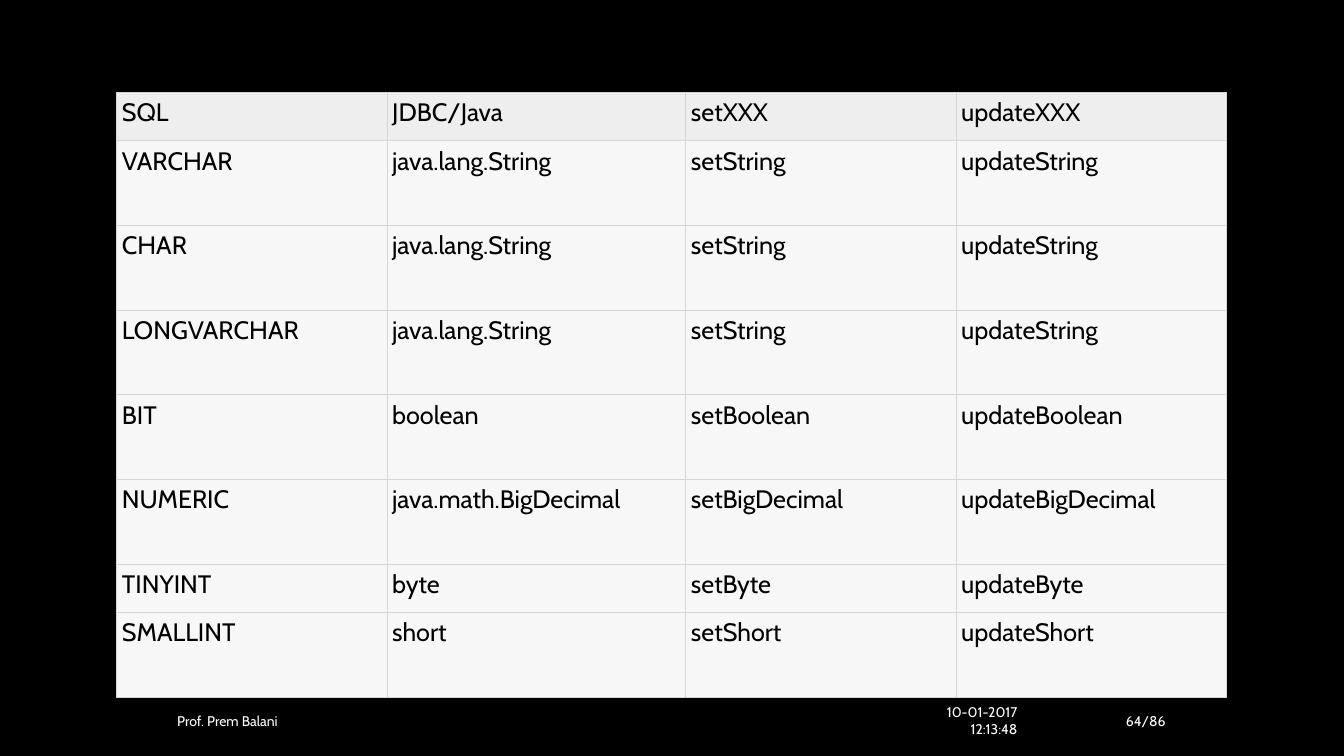
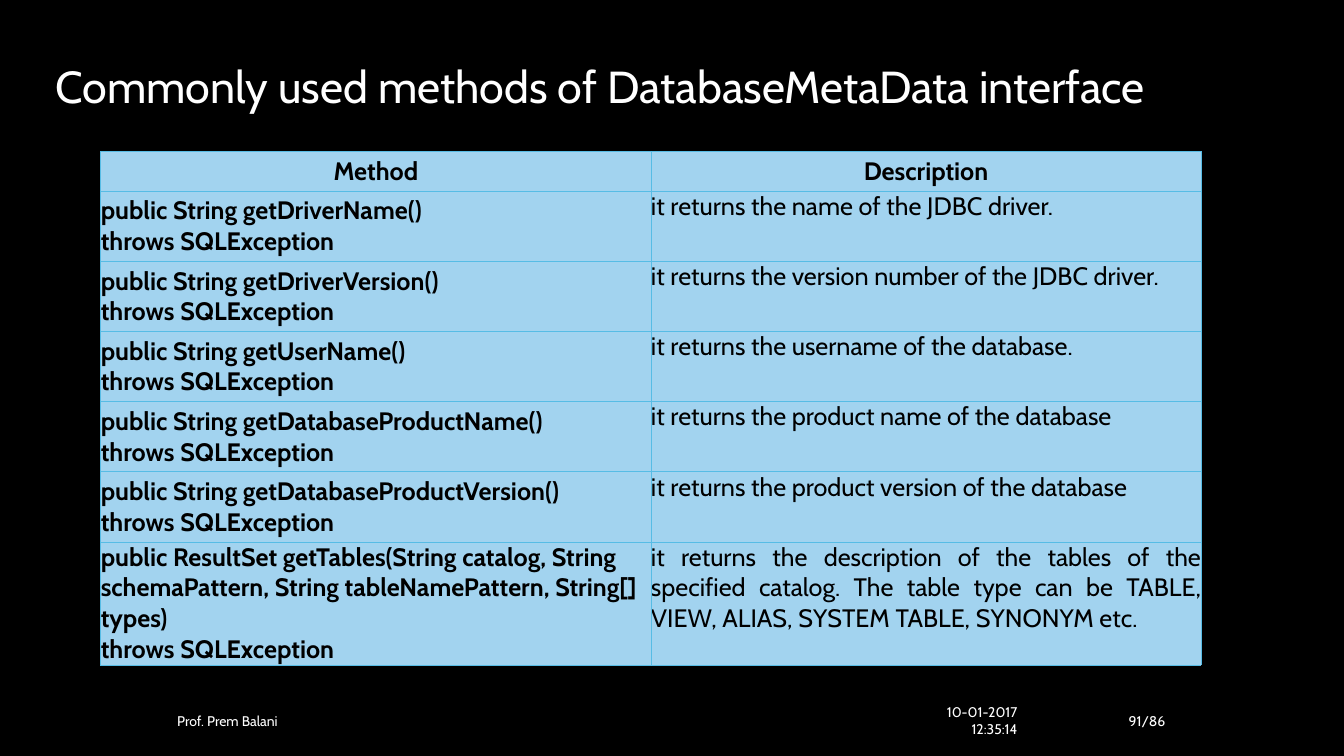
from dataclasses import dataclass

from lxml import etree
from pptx import Presentation
from pptx.dml.color import RGBColor
from pptx.enum.text import MSO_ANCHOR, MSO_AUTO_SIZE, PP_ALIGN
from pptx.oxml.ns import qn
from pptx.slide import Slide
from pptx.table import _Cell
from pptx.util import Pt

LEFT, CENTER, RIGHT, JUSTIFY = PP_ALIGN.LEFT, PP_ALIGN.CENTER, PP_ALIGN.RIGHT, PP_ALIGN.JUSTIFY
TOP, MIDDLE = MSO_ANCHOR.TOP, MSO_ANCHOR.MIDDLE
NO_AUTOFIT = MSO_AUTO_SIZE.NONE

TITLE_ONLY, BLANK = 5, 6
FONT = "Cabin"
BLACK, WHITE = "000000", "FFFFFF"
FOOTER_TOP, FOOTER_HEIGHT = 504, 21.6


@dataclass(frozen=True)
class CellStyle:
    fill: str
    align: PP_ALIGN = LEFT
    anchor: MSO_ANCHOR = TOP
    bold: bool = False


@dataclass(frozen=True)
class TableStyle:
    border: str
    border_width: float
    margin: float
    header: CellStyle
    columns: tuple[CellStyle, ...]


@dataclass(frozen=True)
class FooterBox:
    left: float
    width: float
    align: PP_ALIGN


FOOTER_BOXES = (
    FooterBox(119.5, 498, LEFT),
    FooterBox(635.8, 98, RIGHT),
    FooterBox(749.5, 90, RIGHT),
)

GREY_CELL = CellStyle("F7F7F7")
GREY_TABLE = TableStyle("D6D6D6", 0.75, 3.6, CellStyle("EEEEEE"), (GREY_CELL,) * 4)

SKY = "A2D3EF"
BLUE_TABLE = TableStyle(
    "57BCE5", 0.5, 0,
    CellStyle(SKY, CENTER, MIDDLE, True),
    (CellStyle(SKY, LEFT, MIDDLE, True), CellStyle(SKY, JUSTIFY)),
)

SQL_TYPES = [
    ("SQL", "JDBC/Java", "setXXX", "updateXXX"),
] + [
    (sql_type, java_type, f"set{suffix}", f"update{suffix}")
    for sql_type, java_type, suffix in (
        ("VARCHAR", "java.lang.String", "String"),
        ("CHAR", "java.lang.String", "String"),
        ("LONGVARCHAR", "java.lang.String", "String"),
        ("BIT", "boolean", "Boolean"),
        ("NUMERIC", "java.math.BigDecimal", "BigDecimal"),
        ("TINYINT", "byte", "Byte"),
        ("SMALLINT", "short", "Short"),
    )
]

METHODS = [("Method", "Description")] + [
    (f"public {signature}\nthrows SQLException", description)
    for signature, description in (
        ("String getDriverName()", "it returns the name of the JDBC driver."),
        ("String getDriverVersion()", "it returns the version number of the JDBC driver."),
        ("String getUserName()", "it returns the username of the database."),
        ("String getDatabaseProductName()", "it returns the product name of the database"),
        ("String getDatabaseProductVersion()", "it returns the product version of the database"),
        ("ResultSet getTables(String catalog, String schemaPattern, "
         "String tableNamePattern, String[] types)",
         "it returns the description of the tables of the specified catalog. "
         "The table type can be TABLE, VIEW, ALIAS, SYSTEM TABLE, SYNONYM etc."),
    )
]


def rgb(color: str) -> RGBColor:
    return RGBColor.from_string(color)


def write(frame, text: str, size: float, color: str,
          align: PP_ALIGN = LEFT, bold: bool = False) -> None:
    frame.text = text
    for para in frame.paragraphs:
        para.alignment = align
        para.font.name = FONT
        para.font.size = Pt(size)
        para.font.bold = bold
        para.font.color.rgb = rgb(color)


def set_borders(cell: _Cell, color: str, width: float) -> None:
    """Draw all four sides; the lines must come before the fill in the cell XML."""
    properties = cell._tc.get_or_add_tcPr()
    for position, side in enumerate(("lnL", "lnR", "lnT", "lnB")):
        line = etree.Element(qn(f"a:{side}"), w=str(Pt(width)))
        fill = etree.SubElement(line, qn("a:solidFill"))
        etree.SubElement(fill, qn("a:srgbClr"), val=color)
        properties.insert(position, line)


def add_grid(page: Slide, left: float, top: float, widths: list[float],
             heights: list[float], rows: list[tuple[str, ...]], style: TableStyle) -> None:
    frame = page.shapes.add_table(len(heights), len(widths), Pt(left), Pt(top),
                                  Pt(sum(widths)), Pt(sum(heights)))
    table = frame.table
    table.first_row = table.horz_banding = False
    for column, width in zip(table.columns, widths):
        column.width = Pt(width)
    for row_index, (row, height, texts) in enumerate(zip(table.rows, heights, rows)):
        row.height = Pt(height)
        for cell, text, column_style in zip(row.cells, texts, style.columns):
            look = column_style if row_index else style.header
            cell.margin_left = cell.margin_right = Pt(style.margin)
            cell.margin_top = cell.margin_bottom = Pt(style.margin)
            cell.vertical_anchor = look.anchor
            cell.fill.solid()
            cell.fill.fore_color.rgb = rgb(look.fill)
            set_borders(cell, style.border, style.border_width)
            write(cell.text_frame, text, 18, BLACK, look.align, look.bold)


def add_footer(page: Slide, time: str, number: str) -> None:
    texts = ("Prof. Prem Balani", f"10-01-2017 {time}", number)
    for place, text in zip(FOOTER_BOXES, texts):
        box = page.shapes.add_textbox(Pt(place.left), Pt(FOOTER_TOP),
                                      Pt(place.width), Pt(FOOTER_HEIGHT))
        box.text_frame.word_wrap = True
        box.text_frame.vertical_anchor = MIDDLE
        write(box.text_frame, text, 10, WHITE, place.align)


def set_title(page: Slide, text: str) -> None:
    title = page.shapes.title
    title.left, title.top, title.width, title.height = Pt(32.4), Pt(38), Pt(888), Pt(46)
    title.text_frame.auto_size = NO_AUTOFIT
    title.text_frame.vertical_anchor = TOP
    write(title.text_frame, text, 32, WHITE)


def main() -> None:
    deck = Presentation()
    deck.slide_width, deck.slide_height = Pt(960), Pt(540)
    background = deck.slide_master.background.fill
    background.solid()
    background.fore_color.rgb = rgb(BLACK)

    types_page = deck.slides.add_slide(deck.slide_layouts[BLANK])
    short, tall = 34.5, 60.5
    add_grid(types_page, 83.5, 66, [193, 213.5, 193, 193],
             [short] + [tall] * 5 + [short, tall], SQL_TYPES, GREY_TABLE)
    add_footer(types_page, "12:13:48", "64/86")

    methods_page = deck.slides.add_slide(deck.slide_layouts[TITLE_ONLY])
    set_title(methods_page, "Commonly used methods of DatabaseMetaData interface")
    add_grid(methods_page, 72, 108, [393, 393],
             [28.6] + [50.1] * 5 + [87.5], METHODS, BLUE_TABLE)
    add_footer(methods_page, "12:35:14", "91/86")

    deck.save("out.pptx")


if __name__ == "__main__":
    main()
